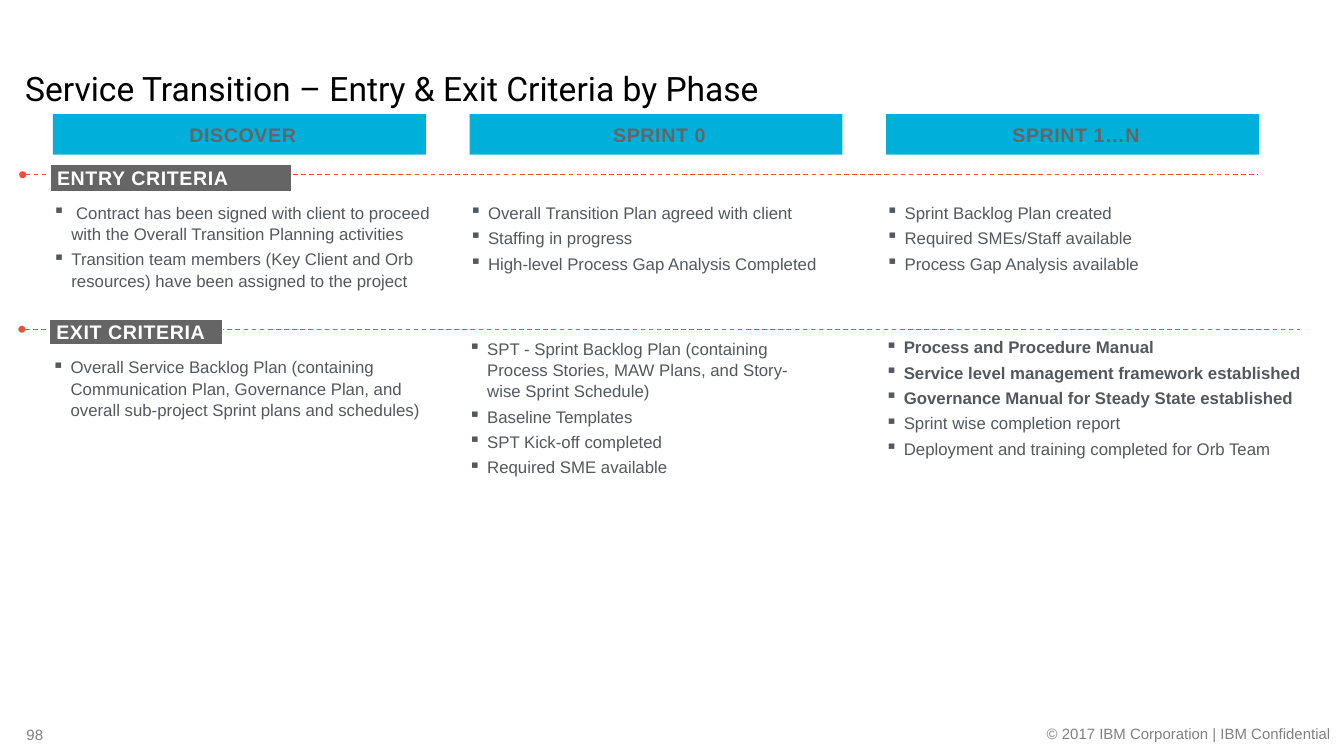
from pptx import Presentation
from pptx.dml.color import RGBColor
from pptx.enum.dml import MSO_LINE
from pptx.enum.shapes import MSO_CONNECTOR, MSO_SHAPE
from pptx.enum.text import MSO_ANCHOR, MSO_AUTO_SIZE, PP_ALIGN
from pptx.oxml.ns import qn
from pptx.util import Inches, Pt
from lxml.etree import SubElement

BLACK = RGBColor(0x00, 0x00, 0x00)
WHITE = RGBColor(0xFF, 0xFF, 0xFF)
CYAN = RGBColor(0x00, 0xB0, 0xDA)
GRAY = RGBColor(0x65, 0x65, 0x65)
TEXT_GRAY = RGBColor(0x53, 0x58, 0x5F)
FOOTER_GRAY = RGBColor(0x80, 0x80, 0x80)
RED = RGBColor(0xF0, 0x4E, 0x37)

TITLE = "Service Transition – Entry & Exit Criteria by Phase"
PHASES = ["DISCOVER", "SPRINT 0", "SPRINT 1…N"]
SECTIONS = [
    {
        "label": "ENTRY CRITERIA",
        "label_box": (0.6, 1.96, 2.87, 0.32),
        "line": (0.27, 14.98, 2.08),
        "shift": 0,
        "lists": [
            (2.4, 4.72, 1.03, 0, [
                " Contract has been signed with client to proceed with the Overall Transition Planning activities",
                "Transition team members (Key Client and Orb resources) have been assigned to the project",
            ]),
            (2.4, 4.44, 0.84, 0, [
                "Overall Transition Plan agreed with client",
                "Staffing in progress",
                "High-level Process Gap Analysis Completed",
            ]),
            (2.4, 4.44, 0.84, 0, [
                "Sprint Backlog Plan created",
                "Required SMEs/Staff available",
                "Process Gap Analysis available",
            ]),
        ],
    },
    {
        "label": "EXIT CRITERIA",
        "label_box": (0.59, 3.8, 2.06, 0.3),
        "line": (0.26, 15.48, 3.92),
        "shift": -0.01,
        "lists": [
            (4.24, 4.59, 0.73, 0, [
                "Overall Service Backlog Plan (containing Communication Plan, Governance Plan, "
                "and overall sub-project Sprint plans and schedules)",
            ]),
            (4.02, 4.12, 1.62, 0, [
                "SPT - Sprint Backlog Plan (containing Process Stories, MAW Plans, "
                "and Story-wise Sprint Schedule)",
                "Baseline Templates",
                "SPT Kick-off completed",
                "Required SME available",
            ]),
            (4, 5.14, 1.44, 3, [
                "Process and Procedure Manual",
                "Service level management framework established",
                "Governance Manual for Steady State established",
                "Sprint wise completion report",
                "Deployment and training completed for Orb Team",
            ]),
        ],
    },
]
FOOTERS = [
    ("© 2017 IBM Corporation | IBM Confidential", (11.83, 8.62, 4.01, 0.22), PP_ALIGN.RIGHT),
    ("98", (0.18, 8.63, 0.47, 0.22), PP_ALIGN.CENTER),
]
FIRST_LEFT, COLUMN_STEP = 0.63, 4.96


def inches(box):
    return [Inches(length) for length in box]


def set_font(paragraph, size, color, bold=False, name="Arial"):
    font = paragraph.font
    font.name, font.size, font.bold = name, Pt(size), bold
    font.color.rgb = color


def clear_margins(frame):
    frame.margin_left = frame.margin_right = frame.margin_top = frame.margin_bottom = 0
    frame.word_wrap = True


def add_text_box(slide, box):
    frame = slide.shapes.add_textbox(*inches(box)).text_frame
    clear_margins(frame)
    return frame


def add_bar(slide, text, box, fill, color, alignment, outline=None):
    shape = slide.shapes.add_shape(MSO_SHAPE.RECTANGLE, *inches(box))
    shape.shadow.inherit = False
    shape.fill.solid()
    shape.fill.fore_color.rgb = fill
    if outline is None:
        shape.line.fill.background()
    else:
        shape.line.color.rgb = outline
        shape.line.width = Pt(0.5)
    frame = shape.text_frame
    clear_margins(frame)
    frame.vertical_anchor = MSO_ANCHOR.MIDDLE
    frame.text = text
    paragraph = frame.paragraphs[0]
    paragraph.alignment = alignment
    paragraph._p.get_or_add_pPr().set("indent", str(Inches(0.08)))
    set_font(paragraph, 16.8, color, True)
    paragraph.runs[0].font._element.set("spc", "50")


def add_bullets(slide, items, box, bold_count):
    frame = add_text_box(slide, box)
    frame.text = "\n".join(items)
    for index, paragraph in enumerate(frame.paragraphs):
        properties = paragraph._p.get_or_add_pPr()
        properties.set("marL", str(Inches(0.22)))
        properties.set("indent", str(Inches(-0.22)))
        SubElement(properties, qn("a:buChar")).set("char", "▪")
        set_font(paragraph, 14.4, TEXT_GRAY, index < bold_count)
        paragraph.line_spacing = 1.05
        if index:
            paragraph.space_before = Pt(3.6)


def add_divider(slide, left, right, y):
    connector = slide.shapes.add_connector(
        MSO_CONNECTOR.STRAIGHT, *inches((left, y, right, y)))
    connector.line.color.rgb = RED
    connector.line.width = Pt(1)
    connector.line.dash_style = MSO_LINE.DASH
    SubElement(connector.line._get_or_add_ln(), qn("a:headEnd")).set("type", "oval")
    SubElement(connector._element.spPr, qn("a:effectLst"))


def main():
    presentation = Presentation()
    presentation.slide_width, presentation.slide_height = Inches(16), Inches(9)
    slide = presentation.slides.add_slide(presentation.slide_layouts[5])

    title = slide.shapes.title
    title.left, title.top, title.width, title.height = inches((0.2, 0.77, 10.05, 0.55))
    frame = title.text_frame
    frame.text = TITLE
    frame.auto_size = MSO_AUTO_SIZE.NONE
    frame.vertical_anchor = MSO_ANCHOR.MIDDLE
    frame.paragraphs[0].alignment = PP_ALIGN.LEFT
    set_font(frame.paragraphs[0], 28.8, BLACK, name="Roboto")

    for text, box, alignment in FOOTERS:
        frame = add_text_box(slide, box)
        frame.vertical_anchor = MSO_ANCHOR.MIDDLE
        frame.text = text
        frame.paragraphs[0].alignment = alignment
        set_font(frame.paragraphs[0], 12.8, FOOTER_GRAY)

    column_lefts = [FIRST_LEFT + column * COLUMN_STEP for column in range(len(PHASES))]
    for phase, left in zip(PHASES, column_lefts):
        add_bar(slide, phase, (left, 1.36, 4.44, 0.48), CYAN, GRAY, PP_ALIGN.CENTER)

    for section in SECTIONS:
        add_divider(slide, *section["line"])
        add_bar(slide, section["label"], section["label_box"], GRAY, WHITE,
                PP_ALIGN.LEFT, WHITE)
        for left, (top, width, height, bold_count, items) in zip(column_lefts, section["lists"]):
            box = (left + section["shift"], top, width, height)
            add_bullets(slide, items, box, bold_count)

    presentation.save("out.pptx")


if __name__ == "__main__":
    main()
